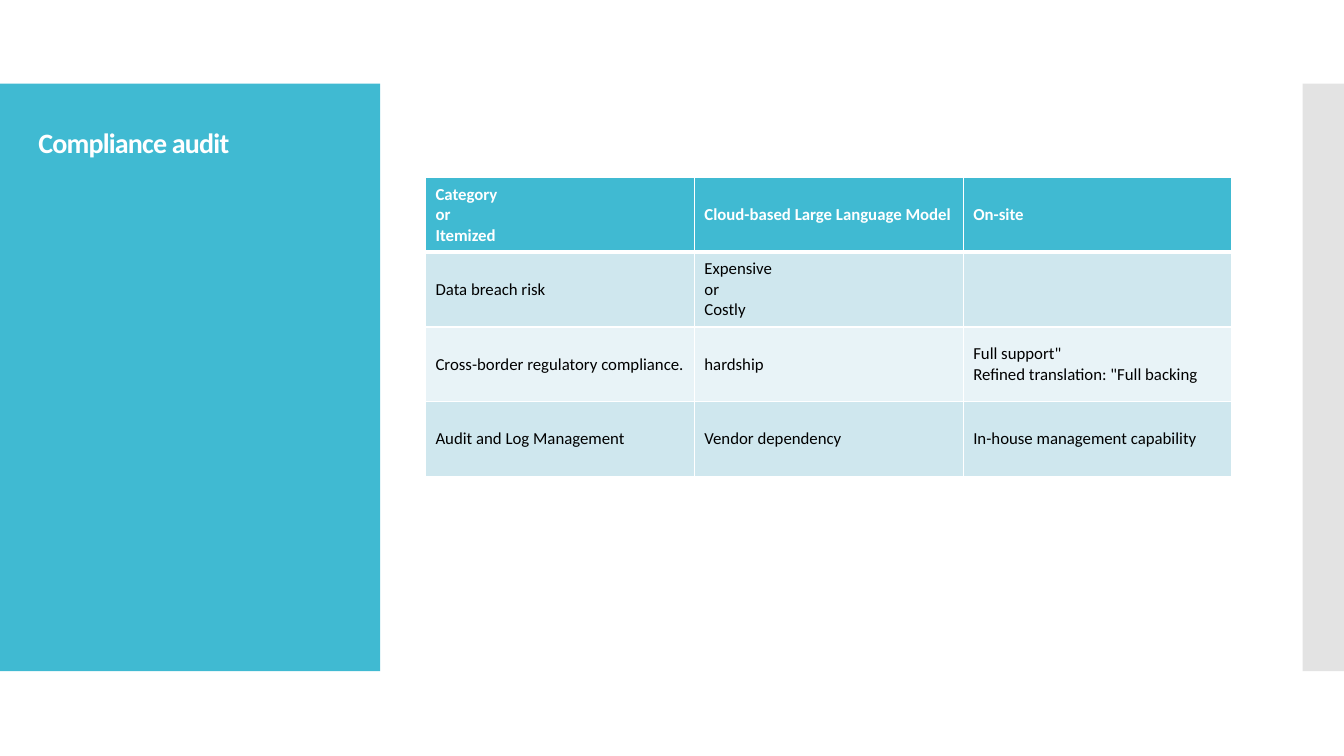
from lxml import etree
from pptx import Presentation
from pptx import util as u
from pptx.dml.color import RGBColor
from pptx.enum import shapes, text
from pptx.oxml import ns

TEAL = RGBColor(0x40, 0xBA, 0xD2)
GREY = RGBColor(0xC8, 0xC8, 0xC8)
WHITE = RGBColor(0xFF, 0xFF, 0xFF)
BLACK = RGBColor(0x00, 0x00, 0x00)
BANDS = (RGBColor(0xCF, 0xE7, 0xEE), RGBColor(0xE8, 0xF3, 0xF7))
FONT = "Calibri"

AUDIT_ROWS = [
    ["Category\nor\nItemized", "Cloud-based Large Language Model", "On-site"],
    ["Data breach risk", "Expensive\nor\nCostly", ""],
    ["Cross-border regulatory compliance.", "hardship",
     'Full support"\nRefined translation: "Full backing'],
    ["Audit and Log Management", "Vendor dependency", "In-house management capability"],
]


def add_run(paragraph, words, size, color, bold):
    run = paragraph.add_run()
    run.text = words
    run.font.name = FONT
    run.font.size = u.Pt(size)
    run.font.bold = bold
    run.font.color.rgb = color
    return run


def add_panel(slide, left, top, width, height, color):
    panel = slide.shapes.add_shape(
        shapes.MSO_SHAPE.RECTANGLE,
        u.Inches(left), u.Inches(top), u.Inches(width), u.Inches(height))
    panel.shadow.inherit = False
    panel.fill.solid()
    panel.fill.fore_color.rgb = color
    panel.line.fill.background()
    return panel


def add_title_panel(slide, left, top, width, height):
    panel = add_panel(slide, left, top, width, height, TEAL)
    title = slide.shapes.title
    panel._element.addnext(title._element)
    title.left, title.top = u.Inches(left + 0.28), u.Inches(top + 0.4)
    title.width, title.height = u.Inches(width - 0.55), u.Inches(height - 0.8)
    frame = title.text_frame
    frame.word_wrap = True
    frame.auto_size = text.MSO_AUTO_SIZE.NONE
    frame.vertical_anchor = text.MSO_ANCHOR.TOP
    paragraph = frame.paragraphs[0]
    paragraph.alignment = text.PP_ALIGN.LEFT
    paragraph.line_spacing = 0.9
    run = add_run(paragraph, "Compliance audit", 20, WHITE, True)
    run.font._element.set("spc", "-60")


def add_side_strip(slide, left, top, width, height):
    strip = add_panel(slide, left, top, width, height, GREY)
    color = strip._element.spPr.find(".//" + ns.qn("a:srgbClr"))
    etree.SubElement(color, ns.qn("a:alpha"), val="50000")


def set_borders(cell, bottom_width):
    properties = cell._tc.get_or_add_tcPr()
    for side, width in (("L", 1), ("R", 1), ("T", 1), ("B", bottom_width)):
        line = etree.SubElement(properties, ns.qn("a:ln" + side), w=str(u.Pt(width)))
        fill = etree.SubElement(line, ns.qn("a:solidFill"))
        etree.SubElement(fill, ns.qn("a:srgbClr"), val=str(WHITE))


def fill_cell(cell, words, row):
    header = row == 0
    set_borders(cell, 3 if header else 1)
    cell.fill.solid()
    cell.fill.fore_color.rgb = TEAL if header else BANDS[(row - 1) % 2]
    cell.vertical_anchor = text.MSO_ANCHOR.MIDDLE
    paragraph = cell.text_frame.paragraphs[0]
    paragraph.font.size = u.Pt(12)
    if not words:
        return
    for number, line in enumerate(words.split("\n")):
        if number:
            paragraph.add_line_break()
        add_run(paragraph, line, 12, WHITE if header else BLACK, header)


def add_audit_table(slide, left, top, width, height):
    row_count, column_count = len(AUDIT_ROWS), len(AUDIT_ROWS[0])
    table = slide.shapes.add_table(
        row_count, column_count,
        u.Inches(left), u.Inches(top), u.Inches(width), u.Inches(height)).table
    for column in table.columns:
        column.width = u.Inches(width / column_count)
    for row, entries in enumerate(AUDIT_ROWS):
        table.rows[row].height = u.Inches(height / row_count)
        for column, words in enumerate(entries):
            fill_cell(table.cell(row, column), words, row)


def main():
    presentation = Presentation()
    presentation.slide_width = u.Inches(13.33)
    presentation.slide_height = u.Inches(7.5)
    slide = presentation.slides.add_slide(presentation.slide_layouts.get_by_name("Title Only"))
    add_title_panel(slide, 0, 0.83, 3.77, 5.83)
    add_side_strip(slide, 12.92, 0.83, 0.41, 5.83)
    add_audit_table(slide, 4.22, 1.76, 8, 2.97)
    presentation.save("out.pptx")


if __name__ == "__main__":
    main()
